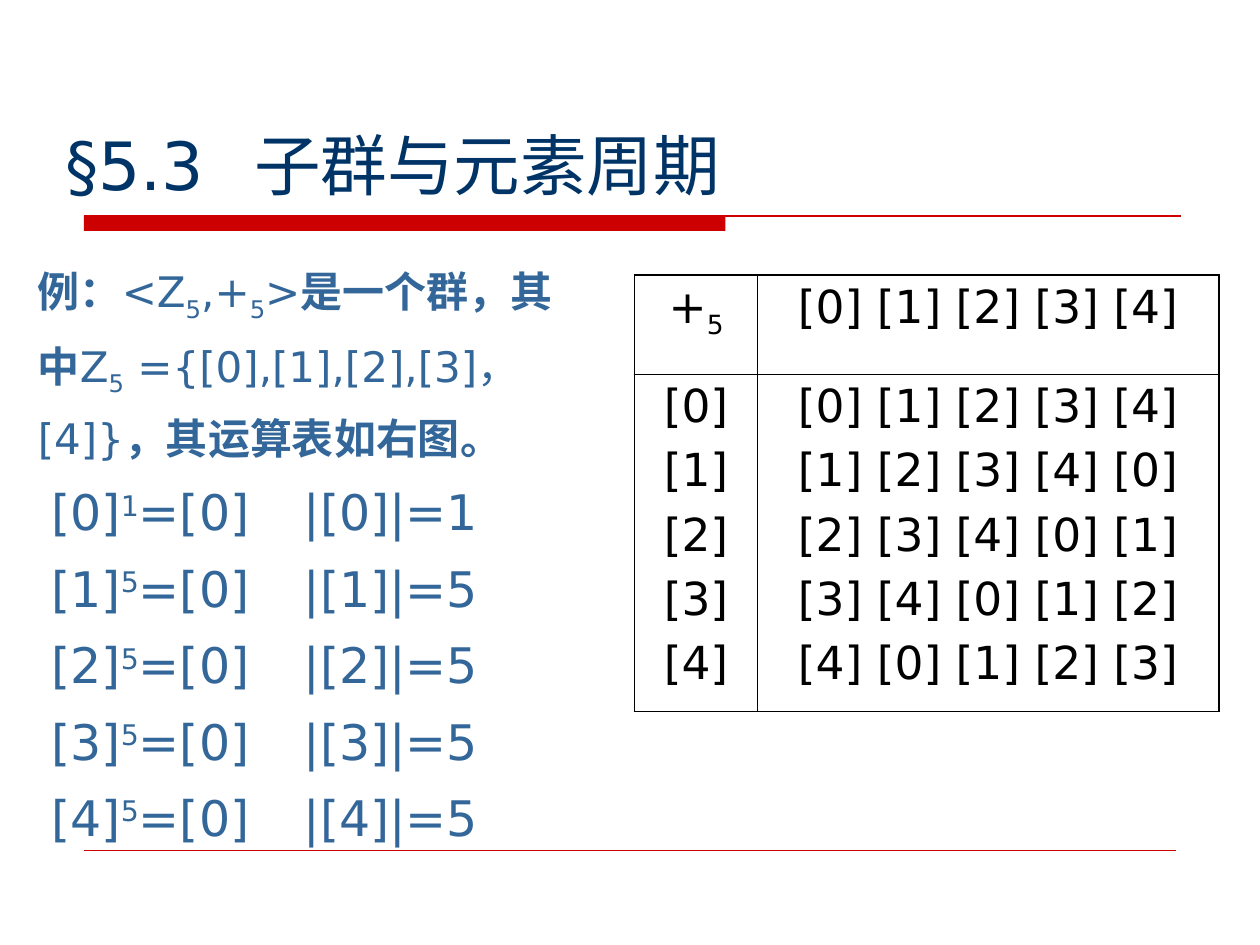
from lxml.etree import SubElement
from pptx import Presentation
from pptx.dml.color import RGBColor
from pptx.enum.shapes import MSO_CONNECTOR, MSO_SHAPE
from pptx.enum.text import MSO_ANCHOR, MSO_AUTO_SIZE, PP_ALIGN
from pptx.oxml.ns import qn
from pptx.util import Pt

COLORS = {"title": "003366", "body": "336699", "rule": "CC0000", "table": "000000"}
FONT = "DejaVu Sans"
SUB, SUPER = -25000, 30000
ORDER = 5
THICK, THIN = 1.08, 0.45


def rgb(name):
    return RGBColor.from_string(COLORS[name])


def add_run(p, text, size, color, bold=False, baseline=0):
    r = p.add_run()
    r.text = text
    formats = {"name": FONT, "size": Pt(size), "bold": bold}
    for key, value in formats.items():
        setattr(r.font, key, value)
    r.font.color.rgb = rgb(color)
    if baseline:
        r._r.get_or_add_rPr().set("baseline", str(baseline))


def format_paragraph(p, tab=None, **formats):
    """Remove bullet and indent, set an optional tab stop, then the given formats."""
    pPr = p._p.get_or_add_pPr()
    pPr.set("marL", "0")
    pPr.set("indent", "0")
    SubElement(pPr, qn("a:buNone"))
    if tab:
        tabs = SubElement(pPr, qn("a:tabLst"))
        SubElement(tabs, qn("a:tab"), pos=str(Pt(tab)), algn="l")
    for key, value in formats.items():
        setattr(p, key, value)


def place(sp, left, top, width, height, anchor):
    """Move a placeholder and return its text frame."""
    box = {"left": left, "top": top, "width": width, "height": height}
    for key, value in box.items():
        setattr(sp, key, Pt(value))
    tf = sp.text_frame
    formats = {"word_wrap": True, "auto_size": MSO_AUTO_SIZE.NONE, "vertical_anchor": anchor}
    for key, value in formats.items():
        setattr(tf, key, value)
    return tf


def send_to_back(s, sp):
    s.shapes._spTree.insert(2, sp._element)


def add_rule(s, left, right, y, width):
    line = s.shapes.add_connector(MSO_CONNECTOR.STRAIGHT, Pt(left), Pt(y), Pt(right), Pt(y))
    line.line.color.rgb = rgb("rule")
    line.line.width = Pt(width)
    SubElement(line._element.spPr, qn("a:effectLst"))
    send_to_back(s, line)


def add_bar(s, left, top, width, height):
    bar = s.shapes.add_shape(MSO_SHAPE.RECTANGLE, Pt(left), Pt(top), Pt(width), Pt(height))
    bar.shadow.inherit = False
    bar.fill.solid()
    bar.fill.fore_color.rgb = rgb("rule")
    bar.line.fill.background()
    send_to_back(s, bar)


def fill_title(sp):
    tf = place(sp, 30, 24, 664, 96, MSO_ANCHOR.BOTTOM)
    p = tf.paragraphs[0]
    format_paragraph(p, tab=125, alignment=PP_ALIGN.LEFT)
    add_run(p, "§5.3\t子群与元素周期", 38, "title")


def fill_example(sp):
    tf = place(sp, 14.4, 138.2, 323.3, 130.3, MSO_ANCHOR.MIDDLE)
    p = tf.paragraphs[0]
    format_paragraph(p, line_spacing=1.3, space_before=Pt(0))
    parts = [
        ("例：", True, 0), ("<Z", False, 0), ("5", False, SUB), (",+", False, 0),
        ("5", False, SUB), (">", False, 0), ("是一个群，其中", True, 0),
        ("Z", False, 0), ("5", False, SUB), (" ={[0],[1],[2],[3]，[4]}", False, 0),
        ("，其运算表如右图。", True, 0),
    ]
    for text, bold, baseline in parts:
        add_run(p, text, 24, "body", bold, baseline)


def fill_element_orders(sp):
    tf = place(sp, 22.3, 260, 306, 229, MSO_ANCHOR.MIDDLE)
    for n in range(ORDER):
        p = tf.add_paragraph() if n else tf.paragraphs[0]
        format_paragraph(p, tab=159, line_spacing=1.3, space_before=Pt(0))
        period = 1 if n == 0 else ORDER
        add_run(p, f"[{n}]", 28, "body")
        add_run(p, str(period), 28, "body", baseline=SUPER)
        add_run(p, f"=[0]\t|[{n}]|={period}", 28, "body")


def set_borders(cell, widths):
    tcPr = cell._tc.get_or_add_tcPr()
    for i, (side, width) in enumerate(widths.items()):
        ln = tcPr.makeelement(qn(f"a:{side}"), {"w": str(Pt(width))})
        fill = SubElement(ln, qn("a:solidFill"))
        SubElement(fill, qn("a:srgbClr"), val=COLORS["table"])
        tcPr.insert(i, ln)


def fill_cell(cell, lines):
    """Write one centred paragraph for each line, a list of (text, baseline)."""
    cell.fill.background()
    tf = cell.text_frame
    for i, line in enumerate(lines):
        p = tf.add_paragraph() if i else tf.paragraphs[0]
        p.alignment = PP_ALIGN.CENTER
        p.space_before = Pt(6.5 if i else 0)
        for text, baseline in line:
            add_run(p, text, 26, "table", baseline=baseline)


def add_operation_table(s):
    table = s.shapes.add_table(2, 2, Pt(362.5), Pt(157), Pt(334), Pt(249.5)).table
    table.first_row = table.horz_banding = False
    for column, width in zip(table.columns, (70.5, 263.5)):
        column.width = Pt(width)
    for row, height in zip(table.rows, (56.8, 192.7)):
        row.height = Pt(height)

    classes = [f"[{n}]" for n in range(ORDER)]
    sums = [" ".join(classes[n:] + classes[:n]) for n in range(ORDER)]
    contents = [
        [[[("+", 0), ("5", SUB)]], [[(sums[0], 0)]]],
        [[[(c, 0)] for c in classes], [[(line, 0)] for line in sums]],
    ]
    for i, row in enumerate(contents):
        for j, lines in enumerate(row):
            cell = table.cell(i, j)
            fill_cell(cell, lines)
            set_borders(cell, {
                "lnL": THIN if j else THICK,
                "lnR": THICK if j else THIN,
                "lnT": THIN if i else THICK,
                "lnB": THICK if i else THIN,
            })


def main():
    prs = Presentation()
    prs.slide_width, prs.slide_height = Pt(720), Pt(540)
    s = prs.slides.add_slide(prs.slide_layouts[3])
    title, example, orders = list(s.placeholders)[:3]
    fill_title(title)
    fill_example(example)
    fill_element_orders(orders)
    add_bar(s, 48, 123.4, 366.5, 8.6)
    add_rule(s, 48, 674.6, 123.4, 0.75)
    add_rule(s, 48, 672, 486, 0.25)
    add_operation_table(s)
    for sp in list(s.placeholders)[3:]:
        sp._element.getparent().remove(sp._element)
    prs.save("out.pptx")


if __name__ == "__main__":
    main()
